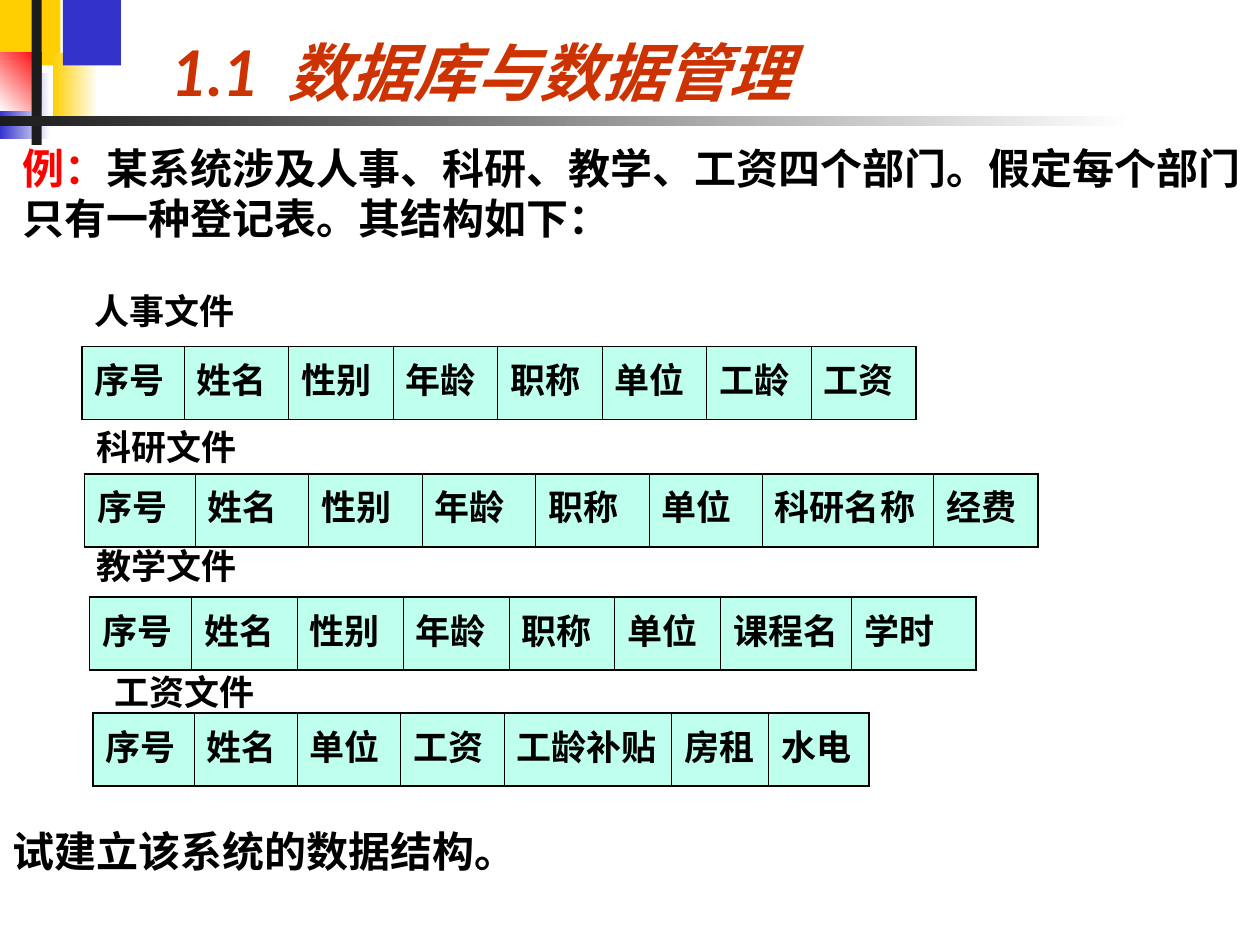
import pptx
import pptx.dml.color
import pptx.enum.shapes
import pptx.enum.text
import pptx.oxml
import pptx.oxml.ns
import pptx.util

LATIN_FONT = "Lato"
CHINESE_FONT = "Noto Sans CJK SC"
BLACK = "000000"
WHITE = "FFFFFF"
YELLOW = "FFCF01"
BLUE = "3333CC"
CHARCOAL = "1C1C1C"
ROW_HEIGHT = 0.58
LABEL_SIZE = (1.42, 0.44)

DECORATIONS = [
    ((0, 0, 0.48, 0.52), [YELLOW], 0),
    ((0.42, 0.42, 0.36, 0.52), [YELLOW, WHITE], 0),
    ((0.5, 0, 0.46, 0.52), [BLUE], 0),
    ((0, 0.58, 0.4, 0.52), [BLUE, WHITE], 0),
    ((0, 0.42, 0.33, 0.46), [WHITE, "FF0000"], 45),
    ((0.25, 0, 0.08, 1.15), [CHARCOAL], 0),
    ((0, 0.92, 9, 0.08), [CHARCOAL, WHITE], 0),
]

FILES = [
    ("人事文件", (0.65, 2.25), (0.65, 2.75),
     ["序号", "姓名", "性别", "年龄", "职称", "单位", "工龄", "工资"],
     [0.81] + [0.83] * 7),
    ("科研文件", (0.67, 3.33), (0.67, 3.76),
     ["序号", "姓名", "性别", "年龄", "职称", "单位", "科研名称", "经费"],
     [0.88] + [0.9] * 5 + [1.36, 0.83]),
    ("教学文件", (0.67, 4.27), (0.71, 4.74),
     ["序号", "姓名", "性别", "年龄", "职称", "单位", "课程名", "学时"],
     [0.81] + [0.84] * 5 + [1.04, 0.99]),
    ("工资文件", (0.81, 5.27), (0.74, 5.66),
     ["序号", "姓名", "单位", "工资", "工龄补贴", "房租", "水电"],
     [0.8] + [0.82] * 3 + [1.33, 0.77, 0.8]),
]


def color(value):
    """Turn a hex string into a colour."""
    return pptx.dml.color.RGBColor.from_string(value)


def inches(values):
    """Turn numbers into a list of lengths."""
    return [pptx.util.Inches(value) for value in values]


def set_font(font, size, name=CHINESE_FONT, value=BLACK):
    """Apply a bold font."""
    font.name = name
    font.size = pptx.util.Pt(size)
    font.bold = True
    font.color.rgb = color(value)


def add_decoration(slide, place, colors, angle):
    """Add a borderless rectangle with a plain or gradient fill."""
    shape = slide.shapes.add_shape(
        pptx.enum.shapes.MSO_SHAPE.RECTANGLE, *inches(place))
    shape.shadow.inherit = False
    shape.line.fill.background()
    if len(colors) == 1:
        shape.fill.solid()
        shape.fill.fore_color.rgb = color(colors[0])
        return
    shape.fill.gradient()
    shape.fill.gradient_angle = angle
    for position, (stop, value) in enumerate(zip(shape.fill.gradient_stops, colors)):
        stop.position = position
        stop.color.rgb = color(value)


def format_title(slide, text):
    """Place and style the title."""
    title = slide.shapes.title
    title.left, title.top, title.width, title.height = inches((1.26, 0, 6.82, 0.92))
    frame = title.text_frame
    frame.text = text
    frame.auto_size = pptx.enum.text.MSO_AUTO_SIZE.NONE
    frame.vertical_anchor = pptx.enum.text.MSO_ANCHOR.BOTTOM
    paragraph = frame.paragraphs[0]
    paragraph.alignment = pptx.enum.text.PP_ALIGN.LEFT
    set_font(paragraph.font, 36, LATIN_FONT, "CC3300")
    paragraph.font.italic = True


def add_text(slide, place, size, runs):
    """Add a wrapping text box from pairs of text and colour."""
    frame = slide.shapes.add_textbox(*inches(place)).text_frame
    frame.word_wrap = True
    paragraph = frame.paragraphs[0]
    set_font(paragraph.font, size)
    for text, value in runs:
        run = paragraph.add_run()
        run.text = text
        if value != BLACK:
            run.font.color.rgb = color(value)


def add_border(cell, side, width):
    """Draw one side of a cell's border."""
    cell._tc.get_or_add_tcPr().append(pptx.oxml.parse_xml(
        f'<a:ln{side} {pptx.oxml.ns.nsdecls("a")} w="{pptx.util.Pt(width)}">'
        f'<a:solidFill><a:srgbClr val="{BLACK}"/></a:solidFill></a:ln{side}>'))


def add_record(slide, place, fields, widths):
    """Add a one-row table of field names."""
    table = slide.shapes.add_table(
        1, len(fields), *inches((*place, sum(widths), ROW_HEIGHT))).table
    table.first_row = False
    table.horz_banding = False
    last = len(fields) - 1
    for index, (field, width) in enumerate(zip(fields, widths)):
        table.columns[index].width = pptx.util.Inches(width)
        cell = table.cell(0, index)
        cell.text = field
        set_font(cell.text_frame.paragraphs[0].font, 20)
        add_border(cell, "L", 1.08 if index == 0 else 0.45)
        add_border(cell, "R", 1.08 if index == last else 0.45)
        add_border(cell, "T", 1.08)
        add_border(cell, "B", 1.08)
        cell.fill.solid()
        cell.fill.fore_color.rgb = color("BFFFEE")


def main():
    """Build and save the slide."""
    presentation = pptx.Presentation()
    presentation.slide_width, presentation.slide_height = inches((10, 7.5))
    slide = presentation.slides.add_slide(presentation.slide_layouts[5])
    for place, colors, angle in DECORATIONS:
        add_decoration(slide, place, colors, angle)
    format_title(slide, "1.1  数据库与数据管理")
    add_text(slide, (0.08, 1.08, 10, 1.17), 24, [
        ("例：", "FF0000"),
        ("某系统涉及人事、科研、教学、工资四个部门。"
         "假定每个部门只有一种登记表。其结构如下：", BLACK)])
    for label, label_place, table_place, fields, widths in FILES:
        add_text(slide, (*label_place, *LABEL_SIZE), 20, [(label, BLACK)])
        add_record(slide, table_place, fields, widths)
    add_text(slide, (0, 6.5, 7.08, 0.5), 24, [("试建立该系统的数据结构。", BLACK)])
    presentation.save("out.pptx")


if __name__ == "__main__":
    main()
